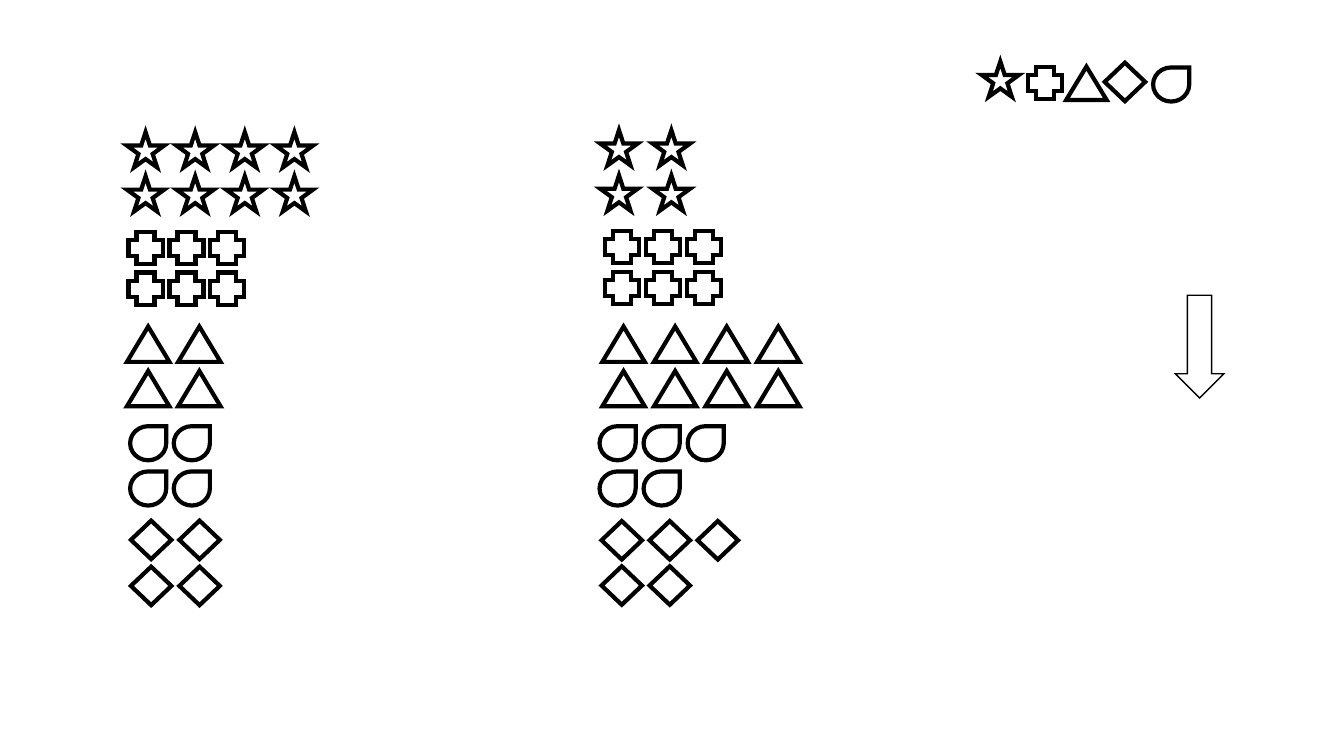
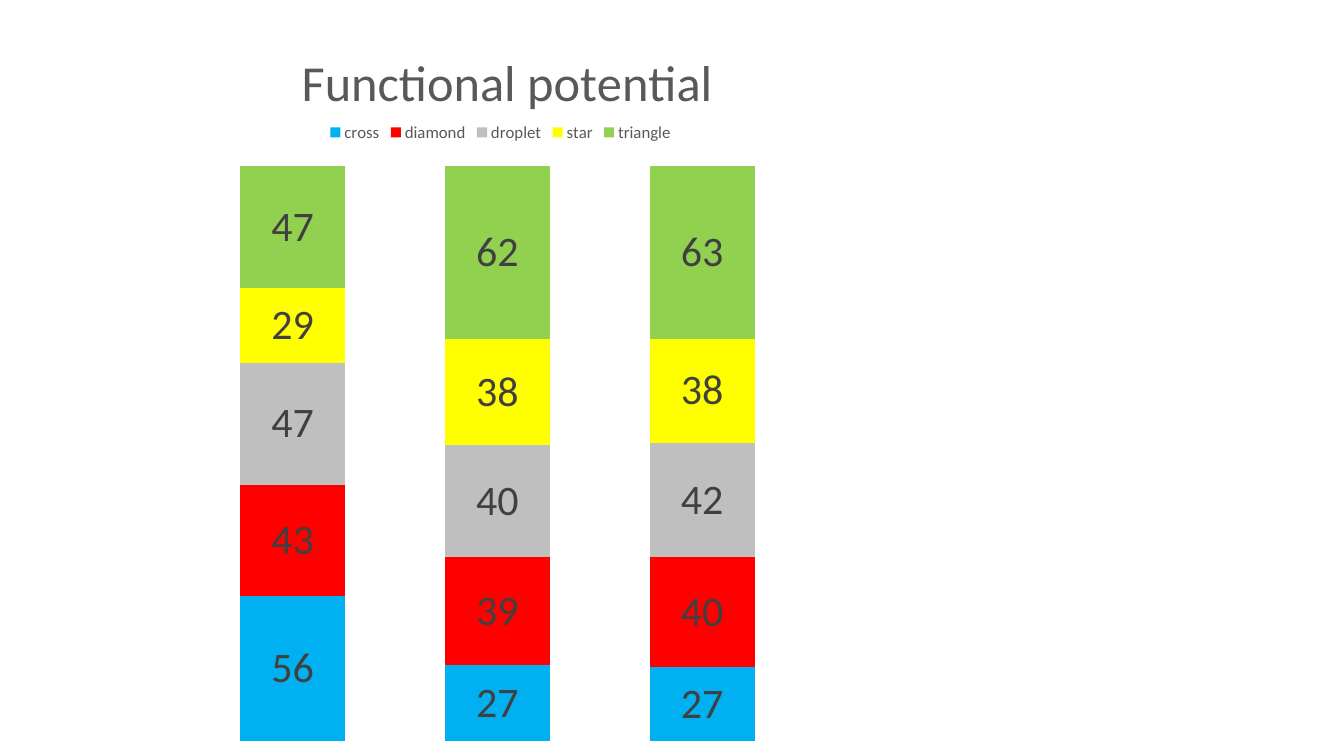
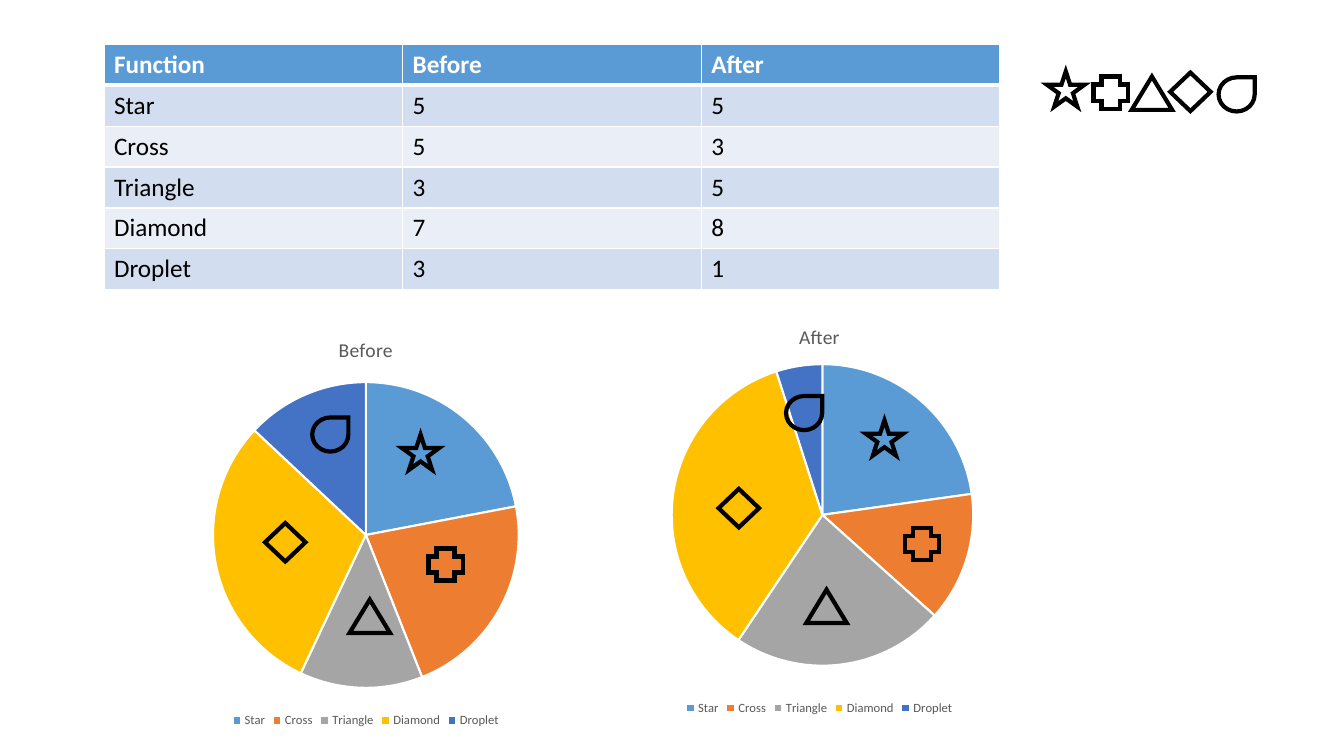
from pptx import Presentation
from pptx.chart.data import CategoryChartData
from pptx.dml.color import RGBColor
from pptx.enum import chart as ch, shapes
from pptx.oxml import parse_xml
from pptx.oxml.ns import nsdecls, qn
from pptx.util import Cm, Pt

FONT = "Calibri"
BLACK, WHITE, GREY, LABEL = "000000", "FFFFFF", "595959", "404040"
S = shapes.MSO_SHAPE

# Lengths are centimetres
ICONS = {  # name: (preset, width, height)
    "star": (S.STAR_5_POINT, 0.94, 0.89),
    "cross": (S.CROSS, 0.86, 0.81),
    "triangle": (S.ISOSCELES_TRIANGLE, 1.02, 0.84),
    "big triangle": (S.ISOSCELES_TRIANGLE, 1.07, 0.89),
    "diamond": (S.DIAMOND, 1.02, 0.97),
    "droplet": (S.TEAR, 0.91, 0.86),
    "arrow": (S.DOWN_ARROW, 1.22, 2.59),
}
KEY = [("star", 0, 0), ("cross", 1.17, 0.13), ("triangle", 2.13, 0.13),
       ("diamond", 3.1, 0.03), ("droplet", 4.32, 0.15)]

TALLIES = [  # icon, left, top, column pitch, row pitch, icons in each row
    ("star", 3.2, 3.33, 1.25, 1.11, (4, 4)),
    ("cross", 3.24, 5.84, 1.03, 1.03, (3, 3)),
    ("big triangle", 3.2, 8.23, 1.29, 1.12, (2, 2)),
    ("droplet", 3.28, 10.74, 1.1, 1.14, (2, 2)),
    ("diamond", 3.3, 13.12, 1.22, 1.16, (2, 2)),
    ("star", 15.13, 3.28, 1.32, 1.14, (2, 2)),
    ("cross", 15.24, 5.82, 1.04, 1.03, (3, 3)),
    ("big triangle", 15.18, 8.23, 1.3, 1.12, (4, 4)),
    ("droplet", 15.11, 10.74, 1.11, 1.14, (3, 2)),
    ("diamond", 15.16, 13.13, 1.21, 1.14, (3, 2)),
]

POTENTIAL = [  # series, values, colour
    ("cross", (56, 27, 27), "00B0F0"),
    ("diamond", (43, 39, 40), "FF0000"),
    ("droplet", (47, 40, 42), "BFBFBF"),
    ("star", (29, 38, 38), "FFFF00"),
    ("triangle", (47, 62, 63), "92D050"),
]

COUNTS = [
    ("Function", "Before", "After"),
    ("Star", "5", "5"),
    ("Cross", "5", "3"),
    ("Triangle", "3", "5"),
    ("Diamond", "7", "8"),
    ("Droplet", "3", "1"),
]
HEADER_FILL, ROW_FILLS = "5B9BD5", ("D2DEEF", "EAEFF7")

PIE_COLORS = ["5B9BD5", "ED7D31", "A5A5A5", "FFC000", "4472C4"]
PIES = [
    {"title": "Before", "values": (22, 22, 13, 30, 13), "at": (1.45, 8.03), "plot": None,
     "icons": [("star", 10.13, 10.95), ("cross", 10.8, 13.82), ("triangle", 8.81, 15.11),
               ("diamond", 6.68, 13.18), ("droplet", 7.87, 10.52)]},
    {"title": "After", "values": (23, 14, 23, 36, 5), "at": (12.88, 7.72),
     "plot": (0.26, 0.14, 0.49, 0.73),
     "icons": [("star", 21.82, 10.59), ("cross", 22.81, 13.31), ("triangle", 20.32, 14.86),
               ("diamond", 18.11, 12.32), ("droplet", 19.81, 9.98)]},
]


def rgb(color):
    return RGBColor.from_string(color)


def style_font(font, size, color, bold=False):
    for name, value in {"name": FONT, "size": Pt(size), "bold": bold}.items():
        setattr(font, name, value)
    font.color.rgb = rgb(color)


def add_icon(s, name, left, top, weight=3):
    preset, width, height = ICONS[name]
    sp = s.shapes.add_shape(preset, Cm(left), Cm(top), Cm(width), Cm(height))
    sp.shadow.inherit = False
    sp.fill.background()
    sp.line.color.rgb = rgb(BLACK)
    sp.line.width = Pt(weight)
    ln = sp._element.spPr.find(qn("a:ln"))
    ln.append(parse_xml(f'<a:miter {nsdecls("a")} lim="800000"/>'))


def add_key(s, left, top):
    for name, dx, dy in KEY:
        add_icon(s, name, left + dx, top + dy)


def place(chart, part, x, y, w=None, h=None):
    """Fix a chart part (title, legend or plotArea) at fractions of the chart."""
    el = chart._chartSpace.xpath(f"c:chart/c:{part}")[0]
    for old in el.findall(qn("c:layout")):
        el.remove(old)
    target = '<c:layoutTarget val="inner"/>' if part == "plotArea" else ""
    modes = '<c:xMode val="edge"/><c:yMode val="edge"/>'
    sizes = "".join(f'<c:{tag} val="{value}"/>'
                    for tag, value in zip("xywh", (x, y, w, h)) if value is not None)
    layout = parse_xml(f'<c:layout {nsdecls("c")}><c:manualLayout>{target}{modes}{sizes}'
                       "</c:manualLayout></c:layout>")
    if part == "plotArea":
        el.insert(0, layout)
    else:
        el.find(qn("c:overlay")).addprevious(layout)


def add_chart(s, kind, box, title, title_size, categories, series, legend_pos, legend_size):
    data = CategoryChartData()
    data.categories = categories
    for name, values in series:
        data.add_series(name, values)
    chart = s.shapes.add_chart(kind, *map(Cm, box), data).chart
    style_font(chart.font, 10, BLACK)
    chart.has_title = True
    p = chart.chart_title.text_frame.paragraphs[0]
    r = p.add_run()
    r.text = title
    style_font(r.font, title_size, GREY)
    chart.has_legend = True
    chart.legend.position = legend_pos
    chart.legend.include_in_layout = False
    style_font(chart.legend.font, legend_size, GREY)
    return chart


def add_potential_chart(s):
    chart = add_chart(s, ch.XL_CHART_TYPE.COLUMN_STACKED_100, (4.47, 0, 16.13, 19.05),
                      "Functional potential", 36, ("1", "2", "3"),
                      [row[:2] for row in POTENTIAL], ch.XL_LEGEND_POSITION.TOP, 12)
    for axis in (chart.category_axis, chart.value_axis):
        axis.visible = False
        axis.has_major_gridlines = False
    plot = chart.plots[0]
    plot.gap_width, plot.overlap = 95, 100
    for series, (_, _, color) in zip(plot.series, POTENTIAL):
        series.format.fill.solid()
        series.format.fill.fore_color.rgb = rgb(color)
        labels = series.data_labels
        labels.show_value = True
        style_font(labels.font, 30, LABEL)
    place(chart, "title", 0.18, 0.05)
    place(chart, "legend", 0.23, 0.16, 0.55, 0.03)
    place(chart, "plotArea", 0.02, 0.22, 0.96, 0.76)


def add_pie(s, pie):
    chart = add_chart(s, ch.XL_CHART_TYPE.PIE, (*pie["at"], 15.54, 10.41), pie["title"], 14,
                      [row[0] for row in COUNTS[1:]], [(pie["title"], pie["values"])],
                      ch.XL_LEGEND_POSITION.BOTTOM, 9)
    plot = chart.plots[0]
    plot.vary_by_categories = True
    for i, color in enumerate(PIE_COLORS):
        fmt = plot.series[0].points[i].format
        fmt.fill.solid()
        fmt.fill.fore_color.rgb = rgb(color)
        fmt.line.color.rgb = rgb(WHITE)
        fmt.line.width = Pt(1.5)
    if pie["plot"]:
        place(chart, "plotArea", *pie["plot"])


def add_borders(cell, bottom):
    for side, weight in {"L": 1, "R": 1, "T": 1, "B": bottom}.items():
        cell._tc.get_or_add_tcPr().append(parse_xml(
            f'<a:ln{side} {nsdecls("a")} w="{Pt(weight)}"><a:solidFill>'
            f'<a:srgbClr val="{WHITE}"/></a:solidFill></a:ln{side}>'))


def add_counts_table(s):
    table = s.shapes.add_table(len(COUNTS), len(COUNTS[0]), Cm(2.62), Cm(1.12),
                               Cm(22.58), Cm(6.18)).table
    for i, row in enumerate(COUNTS):
        header = i == 0
        for j, value in enumerate(row):
            cell = table.cell(i, j)
            add_borders(cell, 3 if header else 1)
            cell.fill.solid()
            cell.fill.fore_color.rgb = rgb(HEADER_FILL if header else ROW_FILLS[(i - 1) % 2])
            cell.text = value
            style_font(cell.text_frame.paragraphs[0].runs[0].font, 18,
                       WHITE if header else BLACK, header)


def main():
    prs = Presentation()
    prs.slide_width, prs.slide_height = Cm(33.87), Cm(19.05)
    tally, potential, counts = [prs.slides.add_slide(prs.slide_layouts[6]) for _ in range(3)]

    for name, left, top, dx, dy, rows in TALLIES:
        for i, count in enumerate(rows):
            for j in range(count):
                add_icon(tally, name, left + j * dx, top + i * dy)
    add_icon(tally, "arrow", 29.62, 7.44, weight=1)
    add_key(tally, 24.74, 1.55)

    add_potential_chart(potential)

    add_key(counts, 26.39, 1.8)
    add_counts_table(counts)
    for pie in PIES:
        add_pie(counts, pie)
    for pie in PIES:
        for icon in pie["icons"]:
            add_icon(counts, *icon)

    prs.save("out.pptx")


if __name__ == "__main__":
    main()
